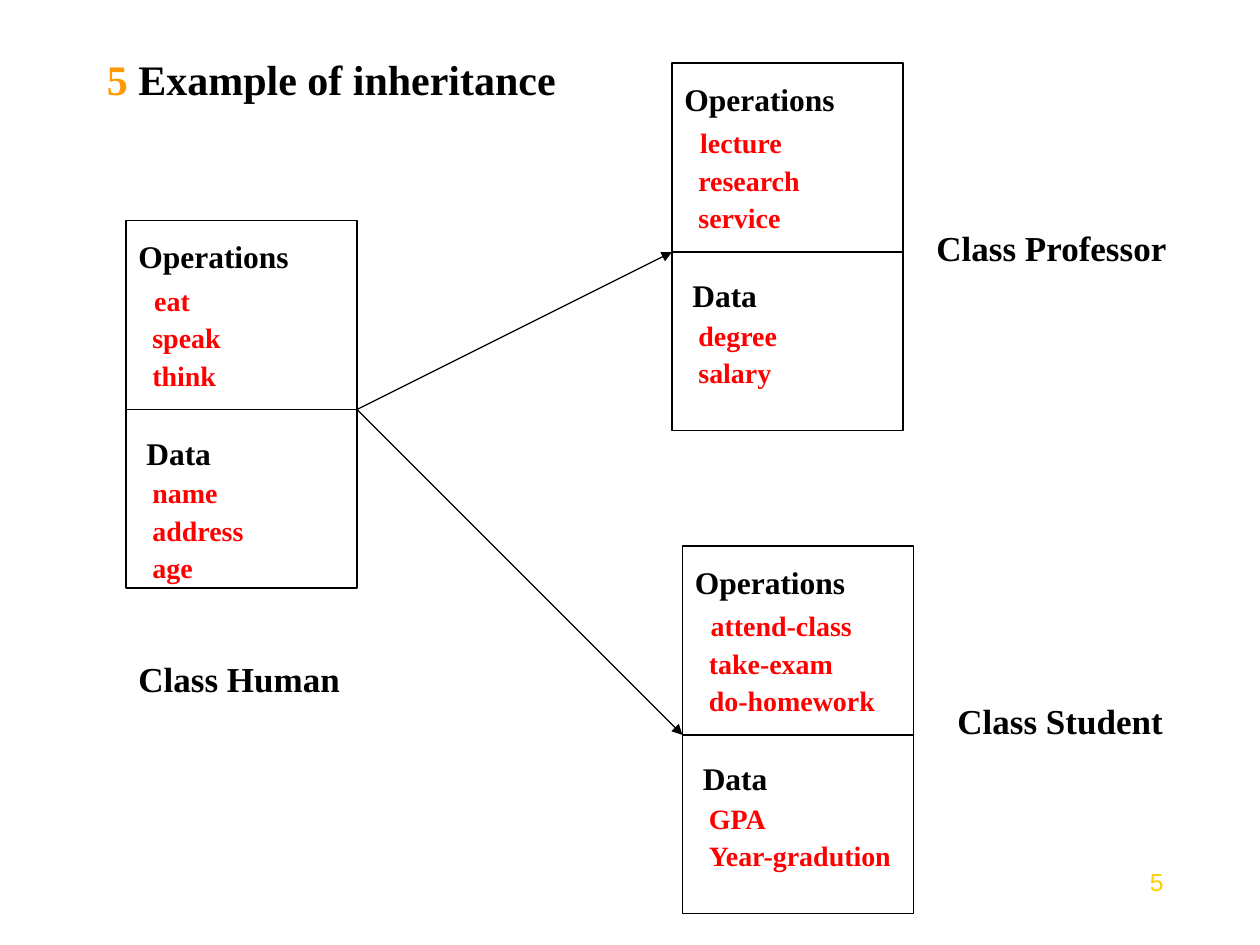
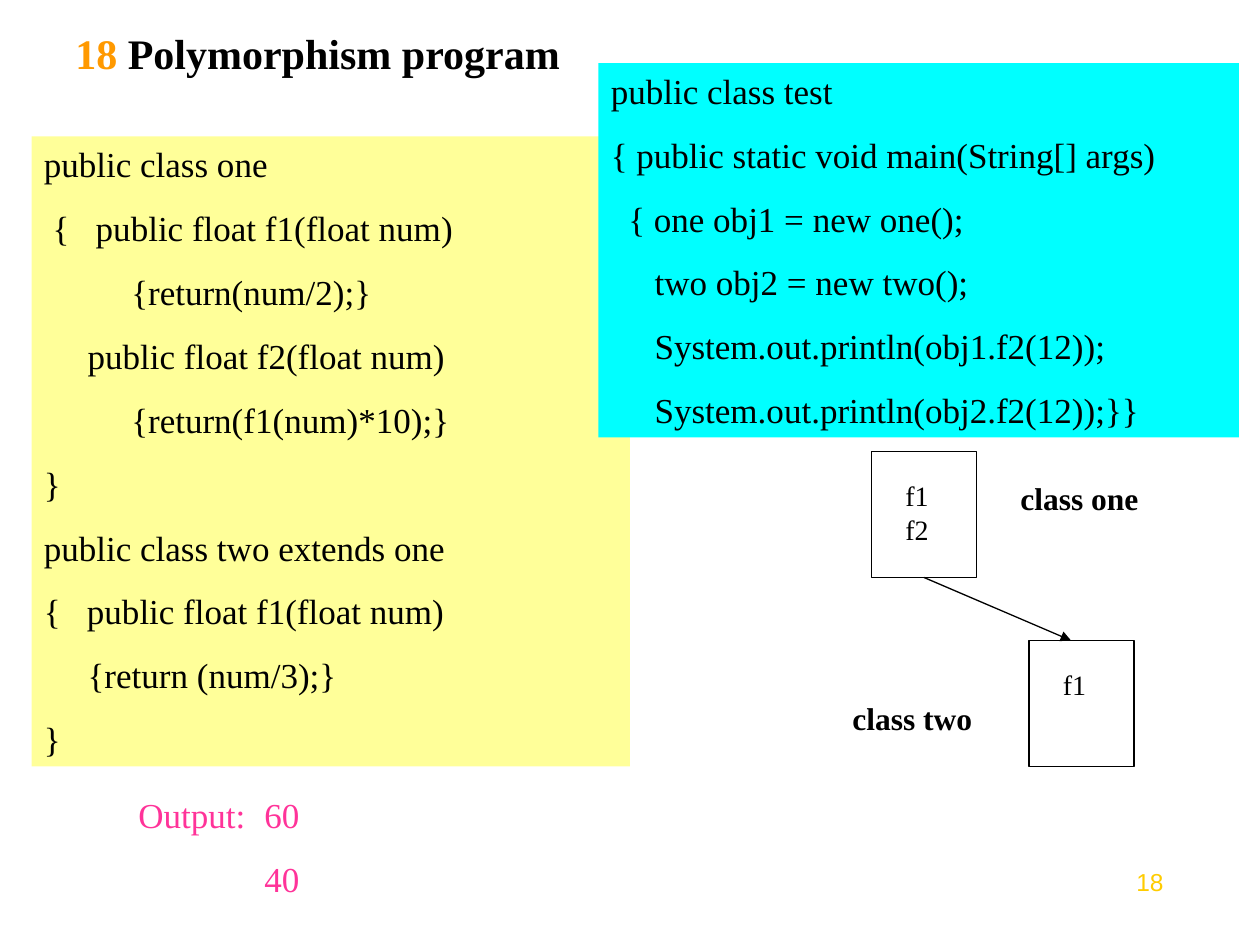
import pptx
import pptx.util
import pptx.dml.color
import pptx.enum.shapes
import pptx.enum.text
import lxml.etree
from dataclasses import dataclass

Pt = pptx.util.Pt
RGB = pptx.dml.color.RGBColor.from_string
Align = pptx.enum.text.PP_ALIGN
Anchor = pptx.enum.text.MSO_ANCHOR
RECTANGLE = pptx.enum.shapes.MSO_SHAPE.RECTANGLE
STRAIGHT = pptx.enum.shapes.MSO_CONNECTOR.STRAIGHT


@dataclass(frozen=True)
class Theme:
    black: str = "000000"
    member: str = "FF0000"
    title_number: str = "FF9900"
    page_number: str = "FFCC00"
    output: str = "FF3399"
    base_code: str = "FFFF99"
    test_code: str = "00FFFF"
    serif: str = "Times New Roman"
    sans: str = "Arial"
    title: int = 24
    label: int = 20
    heading: int = 18
    member_size: int = 16
    page_size: int = 14
    line: float = 0.75


theme = Theme()


def add_box(slide, bounds, paragraphs=(), fill=None, outline=False, anchor=Anchor.TOP):
    left, top, width, height = map(Pt, bounds)
    if fill or outline:
        shape = slide.shapes.add_shape(RECTANGLE, left, top, width, height)
        shape.shadow.inherit = False
        if fill:
            shape.fill.solid()
            shape.fill.fore_color.rgb = RGB(fill)
        else:
            shape.fill.background()
        if outline:
            shape.line.color.rgb = RGB(theme.black)
            shape.line.width = Pt(theme.line)
        else:
            shape.line.fill.background()
    else:
        shape = slide.shapes.add_textbox(left, top, width, height)
    frame = shape.text_frame
    frame.word_wrap = True
    frame.vertical_anchor = anchor
    for index, (runs, layout) in enumerate(paragraphs):
        paragraph = frame.add_paragraph() if index else frame.paragraphs[0]
        layout = {"alignment": Align.LEFT, **layout}
        properties = paragraph._p.get_or_add_pPr()
        properties.set("marL", str(int(Pt(layout.pop("indent", 0)))))
        properties.set("indent", "0")
        tab = layout.pop("tab", None)
        if tab:
            tabs = lxml.etree.SubElement(properties, pptx.oxml.ns.qn("a:tabLst"))
            lxml.etree.SubElement(tabs, pptx.oxml.ns.qn("a:tab"), pos=str(int(Pt(tab))), algn="l")
        for name, value in layout.items():
            setattr(paragraph, name, value)
        for text, style in runs:
            run = paragraph.add_run()
            run.text = text
            style = {"name": theme.serif, "color": theme.black, **style}
            run.font.color.rgb = RGB(style.pop("color"))
            for name, value in style.items():
                setattr(run.font, name, value)
    return shape


def add_line(slide, start, end, arrow=False):
    connector = slide.shapes.add_connector(STRAIGHT, *map(Pt, start + end))
    connector.line.color.rgb = RGB(theme.black)
    connector.line.width = Pt(theme.line)
    if arrow:
        line = connector.line._get_or_add_ln()
        lxml.etree.SubElement(line, pptx.oxml.ns.qn("a:tailEnd"), type="triangle")
    lxml.etree.SubElement(connector._element.spPr, pptx.oxml.ns.qn("a:effectLst"))
    return connector


presentation = pptx.Presentation()
presentation.slide_width = Pt(720)
presentation.slide_height = Pt(540)

title_style = {"size": Pt(theme.title), "bold": True}
label_style = {"size": Pt(theme.label), "bold": True}
heading_style = {"size": Pt(theme.heading), "bold": True}
member_style = {"size": Pt(theme.member_size), "bold": True, "color": theme.member}
method_style = {"size": Pt(theme.member_size)}
code_style = {"size": Pt(theme.label)}
output_style = {"size": Pt(theme.label), "color": theme.output}
page_style = {"size": Pt(theme.page_size), "name": theme.sans, "color": theme.page_number}

slides = []
for number, title, bounds in [
    ("5", " Example of inheritance", (54, 24, 522, 42)),
    ("18", " Polymorphism program", (36, 12, 612, 36)),
]:
    slide = presentation.slides.add_slide(presentation.slide_layouts[6])
    add_box(slide, (624, 492, 48, 37.5), [([(number, page_style)], {"alignment": Align.RIGHT})])
    number_style = {**title_style, "color": theme.title_number}
    add_box(slide, bounds, [([(number, number_style), (title, title_style)], {})], anchor=Anchor.MIDDLE)
    slides.append(slide)
inheritance, polymorphism = slides

class_width, class_height, divider_drop = 132, 210, 108
classes = [
    ("Class Human", 72, 126, (72, 372), ["eat", "speak", "think"], ["name", "address", "age"]),
    ("Class Professor", 384, 36, (528, 126), ["lecture", "research", "service"], ["degree", "salary"]),
    ("Class Student", 390, 312, (540, 396), ["attend-class", "take-exam", "do-homework"],
     ["GPA", "Year-gradution"]),
]
for label, left, top, label_place, operations, data in classes:
    add_box(inheritance, (left, top, class_width, class_height), outline=True)
    paragraphs = [([("Operations", heading_style)], {})]
    for index, operation in enumerate(operations):
        layout = {"indent": 8 if index else 9, "line_spacing": 0.6, "space_before": Pt(10 if index else 11.4)}
        paragraphs.append(([(operation, member_style)], layout))
    paragraphs.append(([("Data", heading_style)],
                       {"indent": 4.5, "line_spacing": 0.6, "space_before": Pt(32.5)}))
    for field in data:
        layout = {"indent": 8, "line_spacing": 0.6, "space_before": Pt(10)}
        paragraphs.append(([(field, member_style)], layout))
    add_box(inheritance, (left, top + 6, class_width, class_height - 6), paragraphs)
    divider = top + divider_drop
    add_line(inheritance, (left, divider), (left + class_width, divider))
    add_box(inheritance, (*label_place, 168, 31.5), [([(label, label_style)], {})])

_, human_left, human_top, *_ = classes[0]
for _, left, top, *_ in classes[1:]:
    add_line(inheritance, (human_left + class_width, human_top + divider_drop),
             (left, top + divider_drop), arrow=True)

base_code = """public class one
 {   public float f1(float num)
          {return(num/2);}
     public float f2(float num)
          {return(f1(num)*10);}
}
public class two extends one
{   public float f1(float num)
     {return (num/3);}
}"""
test_code = """public class test
{ public static void main(String[] args)
  { one obj1 = new one();
     two obj2 = new two();
     System.out.println(obj1.f2(12));
     System.out.println(obj2.f2(12));}}"""
for code, bounds, fill in [
    (base_code, (18, 78, 342, 360), theme.base_code),
    (test_code, (342, 36, 366, 214), theme.test_code),
]:
    paragraphs = [([(text, code_style)], {"space_before": Pt(12.5 if index else 0)})
                  for index, text in enumerate(code.split("\n"))]
    add_box(polymorphism, bounds, paragraphs, fill=fill)

class_boxes = []
for label, left, top, label_place, methods in [
    ("class one", 498, 258, (576, 270), ["f1", "f2"]),
    ("class two", 588, 366, (480, 396), ["f1"]),
]:
    class_boxes.append(add_box(polymorphism, (left, top, 60, 72), outline=True))
    add_box(polymorphism, (left + 12.25, top + 12, 36, 46),
            [([(method, method_style)], {}) for method in methods])
    add_box(polymorphism, (*label_place, 84, 29), [([(label, heading_style)], {})])
arrow = add_line(polymorphism, (528, 330), (612, 366), arrow=True)
arrow.begin_connect(class_boxes[0], 2)

add_box(polymorphism, (72, 450, 150, 68), [
    ([("Output:\t60", output_style)], {"tab": 72}),
    ([("40", output_style)], {"indent": 72, "space_before": Pt(12.5)}),
])

presentation.save("out.pptx")
